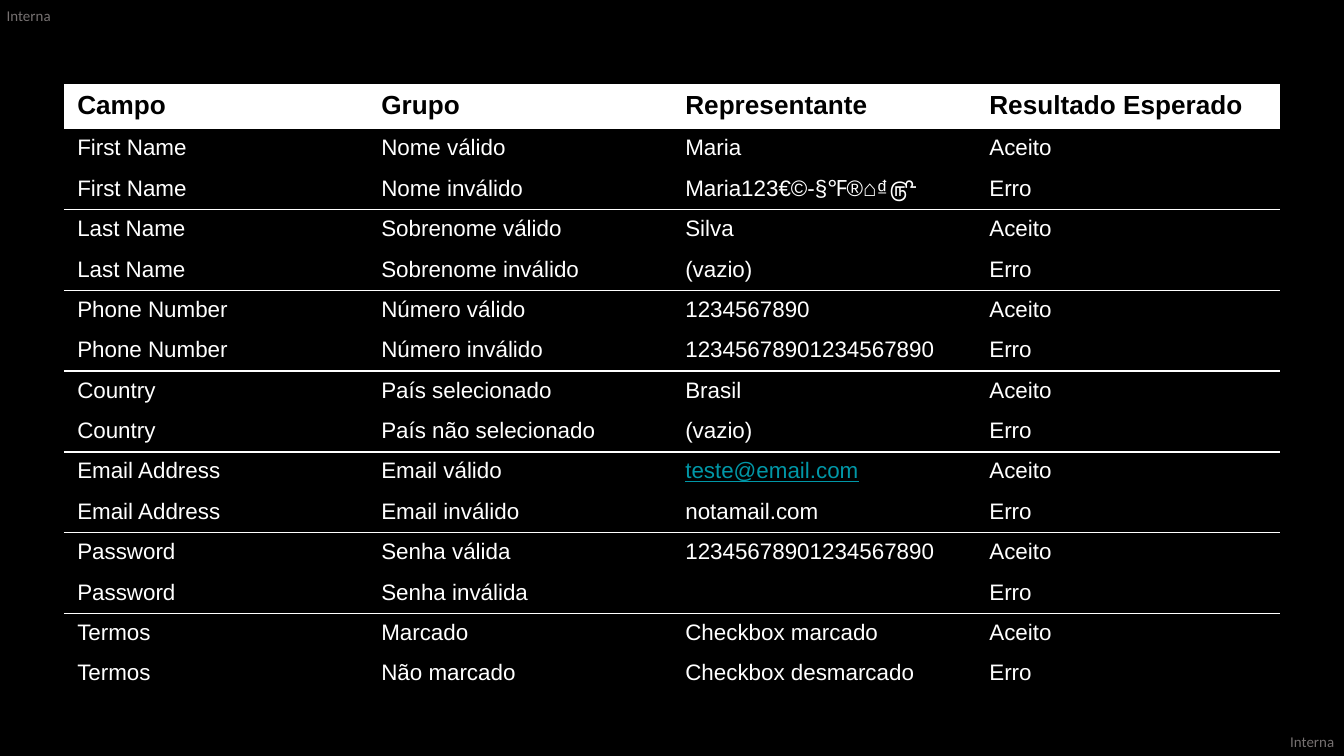
from lxml import etree
from pptx import Presentation
from pptx.dml.color import RGBColor
from pptx.oxml.ns import qn
from pptx.util import Inches, Pt

SLIDE_W = 10
SLIDE_H = SLIDE_W * 9 / 16
COLORS = {"black": "000000", "white": "FFFFFF", "gray": "767171", "link": "0097A7"}
NO_STYLE = "{2D5ABB26-0587-4C30-8999-92F81FD0307C}"

# The table is centred across the slide
TABLE_W = 9.05
TABLE_X, TABLE_Y = (SLIDE_W - TABLE_W) / 2, SLIDE_H / 9
HEADER_H, ROW_H = 0.33, 0.3

HEADERS = ["Campo", "Grupo", "Representante", "Resultado Esperado"]
# Each field has an accepted case and a rejected case: (group, representative)
FIELDS = [
    ("First Name", ("Nome válido", "Maria"), ("Nome inválido", "Maria123€©-§℉®⌂₫௹")),
    ("Last Name", ("Sobrenome válido", "Silva"), ("Sobrenome inválido", "(vazio)")),
    ("Phone Number", ("Número válido", "1234567890"),
     ("Número inválido", "12345678901234567890")),
    ("Country", ("País selecionado", "Brasil"), ("País não selecionado", "(vazio)")),
    ("Email Address", ("Email válido", "teste@email.com"),
     ("Email inválido", "notamail.com")),
    ("Password", ("Senha válida", "12345678901234567890"), ("Senha inválida", "")),
    ("Termos", ("Marcado", "Checkbox marcado"), ("Não marcado", "Checkbox desmarcado")),
]
RESULTS = ("Aceito", "Erro")


def rgb(name):
    return RGBColor.from_string(COLORS[name])


def add_run(p, text, size, color, font="Arial", bold=False, underline=False):
    r = p.add_run()
    r.text = text
    r.font.name = font
    r.font.size = Pt(size)
    r.font.bold = bold
    r.font.underline = underline
    r.font.color.rgb = rgb(color)


def add_label(slide, x, y):
    sp = slide.shapes.add_textbox(Inches(x), Inches(y), Inches(0.37), Inches(0.13))
    tf = sp.text_frame
    tf.margin_left = tf.margin_right = tf.margin_top = tf.margin_bottom = 0
    tf.word_wrap = False
    add_run(tf.paragraphs[0], "Interna", 8, "gray", font="Calibri")


def add_bottom_border(cell, color, width):
    tc_pr = cell._tc.get_or_add_tcPr()
    ln = etree.Element(qn("a:lnB"), w=str(Pt(width)))
    fill = etree.SubElement(ln, qn("a:solidFill"))
    etree.SubElement(fill, qn("a:srgbClr"), val=COLORS[color])
    tc_pr.insert(0, ln)


def fill_cell(cell, text, header):
    p = cell.text_frame.paragraphs[0]
    if header:
        cell.fill.solid()
        cell.fill.fore_color.rgb = rgb("white")
        add_run(p, text, 14, "black", bold=True)
        return
    cell.fill.background()
    if text:
        is_link = "@" in text
        add_run(p, text, 12, "link" if is_link else "white", underline=is_link)
    else:
        # Keep the empty cell as low as its row
        etree.SubElement(p._p, qn("a:endParaRPr"), sz="1200")


def add_case_table(slide):
    cases = [(field, group, value, result)
             for field, *pair in FIELDS
             for (group, value), result in zip(pair, RESULTS)]
    rows = [HEADERS] + cases
    height = HEADER_H + ROW_H * len(cases)
    table = slide.shapes.add_table(
        len(rows), len(HEADERS), Inches(TABLE_X), Inches(TABLE_Y),
        Inches(TABLE_W), Inches(height)).table
    table.first_row = True
    table.horz_banding = False
    table._tbl.tblPr.find(qn("a:tableStyleId")).text = NO_STYLE

    for i, values in enumerate(rows):
        table.rows[i].height = Inches(ROW_H if i else HEADER_H)
        # A rule closes each pair of cases except the last
        ends_pair = i and i % len(RESULTS) == 0 and i < len(cases)
        for j, text in enumerate(values):
            cell = table.cell(i, j)
            fill_cell(cell, text, header=i == 0)
            if ends_pair:
                add_bottom_border(cell, "white", 1)


def main():
    prs = Presentation()
    prs.slide_width, prs.slide_height = Inches(SLIDE_W), Inches(SLIDE_H)
    s = prs.slides.add_slide(prs.slide_layouts[6])
    s.background.fill.solid()
    s.background.fill.fore_color.rgb = rgb("black")

    # Classification labels in opposite corners
    add_label(s, 0.05, 0.05)
    add_label(s, 9.6, 5.45)

    # Test cases
    add_case_table(s)
    prs.save("out.pptx")


if __name__ == "__main__":
    main()
